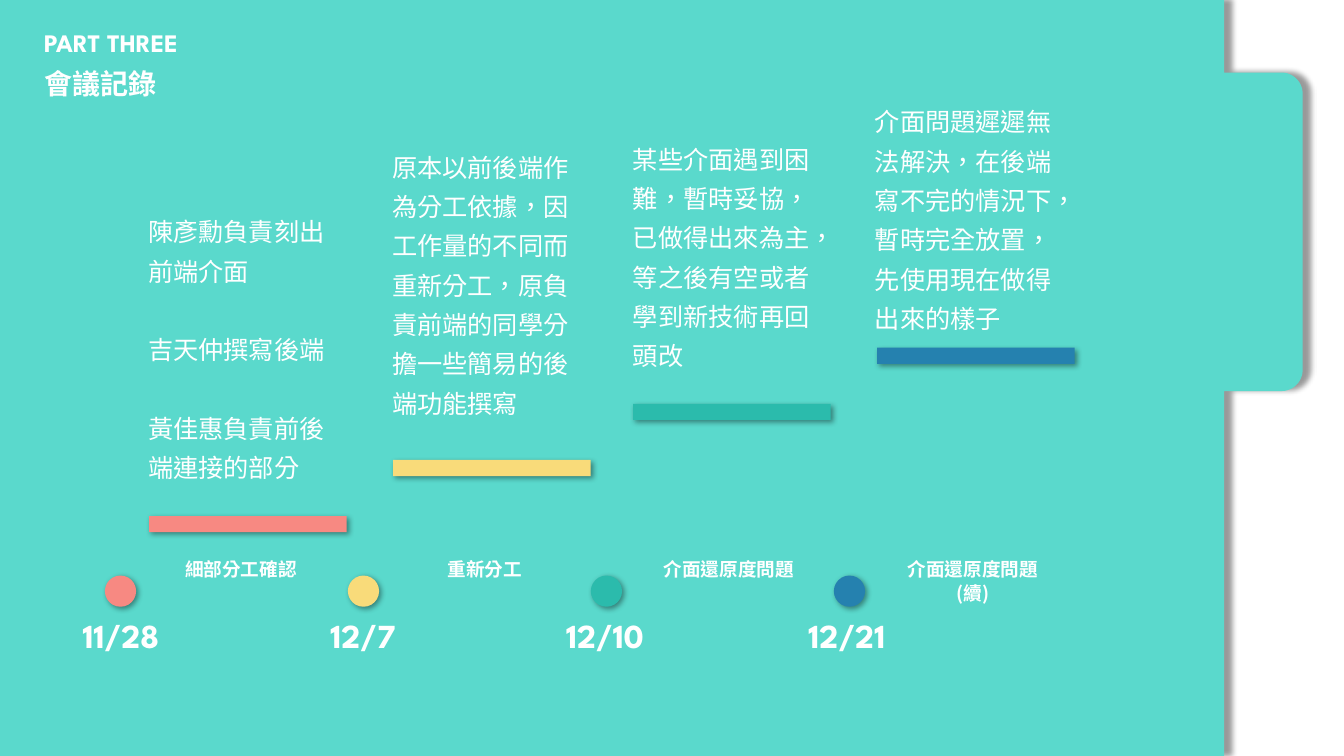
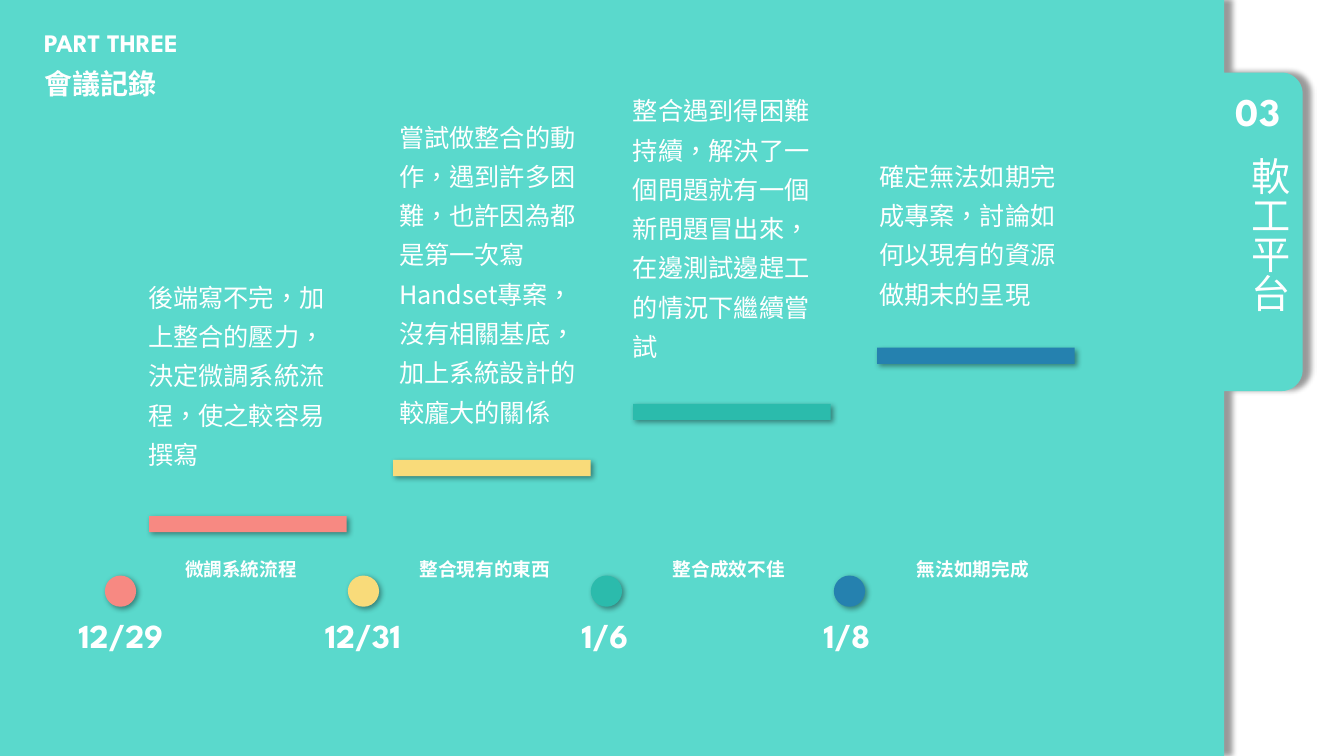
from math import cos, radians, sin

from lxml import etree
from pptx import Presentation
from pptx.dml.color import RGBColor
from pptx.enum import shapes, text
from pptx.oxml.ns import qn
from pptx.util import Inches, Pt

COLORS = {"panel": "5AD9CC", "white": "FFFFFF", "shadow": "000000"}
STEP_COLORS = ["F78982", "F9DB7A", "2BBBAC", "2581AF"]
LATIN, CJK = "League Spartan", "Noto Sans CJK SC"
LANGUAGE = "zh-TW"

STYLES = {
    "part": {"name": LATIN, "size": 18, "bold": True, "spacing": 0.9},
    "title": {"name": CJK, "size": 20, "bold": True, "spacing": 0.9},
    "number": {"name": LATIN, "size": 28, "bold": True, "spacing": 0.9},
    "tab": {"name": CJK, "size": 28, "bold": False, "spacing": 0.9},
    "date": {"name": LATIN, "size": 24, "bold": True, "align": "CENTER"},
    "label": {"name": CJK, "size": 13.3, "bold": True, "align": "CENTER", "spacing": 1.1},
    "note": {"name": CJK, "size": 18, "bold": False, "spacing": 1.3},
}

HEADING = ("PART THREE", "會議記錄")

# Each step: date, label, left and top of the note, note paragraphs, gap between them
PAGES = [
    {
        "tab": None,
        "steps": [
            ("11/28", "細部分工確認", 1.37, 2.01,
             ["陳彥勳負責刻出前端介面", "吉天仲撰寫後端", "黃佳惠負責前後端連接的部分"], 28),
            ("12/7", "重新分工", 3.79, 1.37,
             ["原本以前後端作為分工依據，因工作量的不同而重新分工，"
              "原負責前端的同學分擔一些簡易的後端功能撰寫"], 0),
            ("12/10", "介面還原度問題", 6.18, 1.29,
             ["某些介面遇到困難，暫時妥協，已做得出來為主，",
              "等之後有空或者學到新技術再回頭改"], 0),
            ("12/21", "介面還原度問題(續)", 8.58, 0.92,
             ["介面問題遲遲無法解決，在後端寫不完的情況下，"
              "暫時完全放置，先使用現在做得出來的樣子"], 0),
        ],
    },
    {
        "tab": ("03", "軟工平台"),
        "steps": [
            ("12/29", "微調系統流程", 1.37, 2.66,
             ["後端寫不完，加上整合的壓力，決定微調系統流程，使之較容易撰寫"], 0),
            ("12/31", "整合現有的東西", 3.86, 1.07,
             ["嘗試做整合的動作，遇到許多困難，也許因為都是第一次寫"
              "Handset專案，沒有相關基底，加上系統設計的較龐大的關係"], 0),
            ("1/6", "整合成效不佳", 6.18, 0.81,
             ["整合遇到得困難持續，解決了一個問題就有一個新問題冒出來，"
              "在邊測試邊趕工的情況下繼續嘗試"], 0),
            ("1/8", "無法如期完成", 8.62, 1.46,
             ["確定無法如期完成專案，討論如何以現有的資源做期末的呈現"], 0),
        ],
    },
]

WIDTH, HEIGHT = 13.33, 7.5
UNITS = 1000  # outline units in an inch
PANEL_RIGHT, TAB_RIGHT, TAB_TOP, TAB_BOTTOM, TAB_RADIUS = 12.14, 12.92, 0.72, 3.88, 0.21
DOT_LEFT, DOT_TOP, DOT_SIZE, DOT_STEP = 1.04, 5.71, 0.31, 2.41
DATE_LEFT, DATE_TOP, DATE_WIDTH, DATE_STEP = 0.6, 6.05, 1.2, 2.4
LABEL_LEFT, LABEL_TOP, LABEL_WIDTH, LABEL_STEP = 1.59, 5.46, 1.6, 2.42
BAR_LEFTS, BAR_TOP, BAR_WIDTH, BAR_HEIGHT = [1.48, 3.9, 6.28, 8.7], 5.12, 1.96, 0.16
BAR_RISE = (5.12 - 3.45) / 3
NOTE_WIDTH = 2.1


def paint(shape, color, distance, angle):
    """Give a shape a plain fill, no outline and a soft shadow."""
    shape.fill.solid()
    shape.fill.fore_color.rgb = RGBColor.from_string(color)
    shape.line.fill.background()
    shape.shadow.inherit = False
    effects = shape._element.spPr.find(qn("a:effectLst"))
    shadow = etree.SubElement(
        effects, qn("a:outerShdw"), blurRad=str(Pt(4)), dist=str(Pt(distance)),
        dir=str(angle * 60000), algn="tl" if angle else "l", rotWithShape="0")
    tone = etree.SubElement(shadow, qn("a:srgbClr"), val=COLORS["shadow"])
    etree.SubElement(tone, qn("a:alpha"), val="40000")


def add_mark(page, kind, color, *area):
    mark = page.shapes.add_shape(kind, *map(Inches, area))
    paint(mark, color, 2, 45)


def add_text(page, paragraphs, style, *area, gap=0, vertical=False):
    form = STYLES[style]
    box = page.shapes.add_textbox(*map(Inches, area))
    frame = box.text_frame
    frame.word_wrap = True
    if vertical:
        frame._txBody.bodyPr.set("vert", "eaVert")
    for index, words in enumerate(paragraphs):
        para = frame.add_paragraph() if index else frame.paragraphs[0]
        para.alignment = text.PP_ALIGN[form.get("align", "LEFT")]
        para.line_spacing = form.get("spacing", 1.0)
        para.space_before = Pt(gap if index else 0)
        span = para.add_run()
        span.text = words
        for key, value in {"name": form["name"], "size": Pt(form["size"]),
                           "bold": form["bold"]}.items():
            setattr(span.font, key, value)
        span.font.color.rgb = RGBColor.from_string(COLORS["white"])
        properties = span.font._element
        properties.set("lang", LANGUAGE)
        east_asian = etree.Element(qn("a:ea"), typeface=form["name"])
        properties.find(qn("a:latin")).addnext(east_asian)


def corner(center_y, start):
    """Points of a quarter circle on the right side of the tab."""
    center_x = TAB_RIGHT - TAB_RADIUS
    angles = [radians(start + turn) for turn in range(0, 91, 5)]
    return [(center_x + TAB_RADIUS * cos(a), center_y + TAB_RADIUS * sin(a)) for a in angles]


def add_panel(page):
    outline = [(PANEL_RIGHT, 0), (PANEL_RIGHT, TAB_TOP),
               *corner(TAB_TOP + TAB_RADIUS, -90), *corner(TAB_BOTTOM - TAB_RADIUS, 0),
               (PANEL_RIGHT, TAB_BOTTOM), (PANEL_RIGHT, HEIGHT), (0, HEIGHT)]
    builder = page.shapes.build_freeform(0, 0, scale=Inches(1) / UNITS)
    builder.add_line_segments([(x * UNITS, y * UNITS) for x, y in outline], close=True)
    paint(builder.convert_to_shape(), COLORS["panel"], 6, 0)


def add_step(page, index, step):
    date, label, note_left, note_top, note, gap = step
    color = STEP_COLORS[index]
    bar_top = BAR_TOP - index * BAR_RISE
    add_mark(page, shapes.MSO_SHAPE.OVAL, color,
             DOT_LEFT + index * DOT_STEP, DOT_TOP, DOT_SIZE, DOT_SIZE)
    add_text(page, [date], "date", DATE_LEFT + index * DATE_STEP, DATE_TOP, DATE_WIDTH, 0.5)
    add_text(page, [label], "label",
             LABEL_LEFT + index * LABEL_STEP, LABEL_TOP, LABEL_WIDTH, 0.35)
    add_mark(page, shapes.MSO_SHAPE.RECTANGLE, color,
             BAR_LEFTS[index], bar_top, BAR_WIDTH, BAR_HEIGHT)
    add_text(page, note, "note", note_left, note_top, NOTE_WIDTH, bar_top - note_top, gap=gap)


def add_page(deck, content):
    page = deck.slides.add_slide(deck.slide_layouts[6])
    add_panel(page)
    if content["tab"]:
        number, name = content["tab"]
        add_text(page, [name], "tab", 12.16, 1.46, 0.66, 2.38, vertical=True)
        add_text(page, [number], "number", 12.16, 0.87, 0.66, 0.59)
    for row, (words, style) in enumerate(zip(HEADING, ("part", "title"))):
        add_text(page, [words], style, 0.34, 0.26 + row * 0.39, 4.31, 0.39)
    for index, step in enumerate(content["steps"]):
        add_step(page, index, step)


def main():
    deck = Presentation()
    deck.slide_width, deck.slide_height = Inches(WIDTH), Inches(HEIGHT)
    for content in PAGES:
        add_page(deck, content)
    deck.save("out.pptx")


if __name__ == "__main__":
    main()
